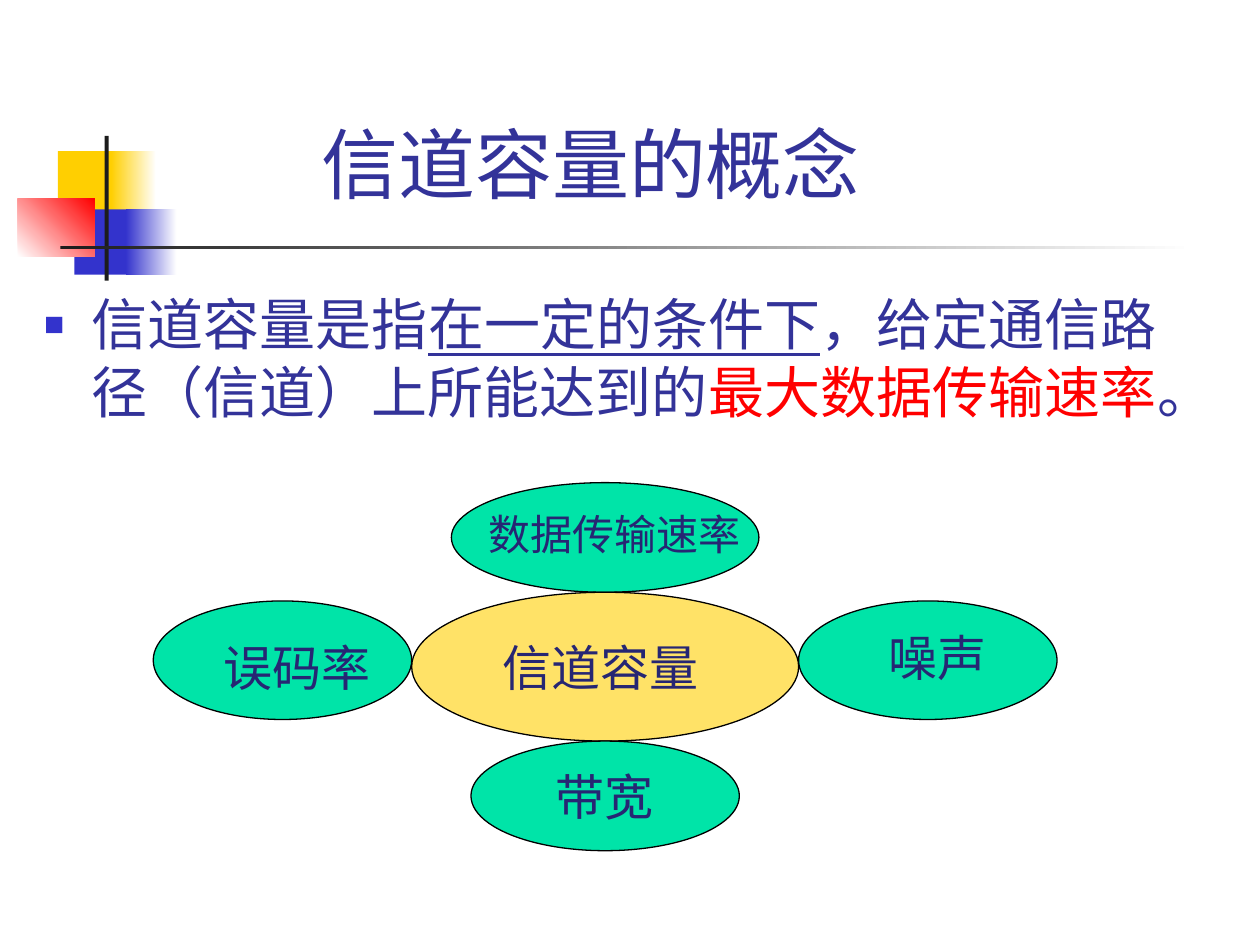
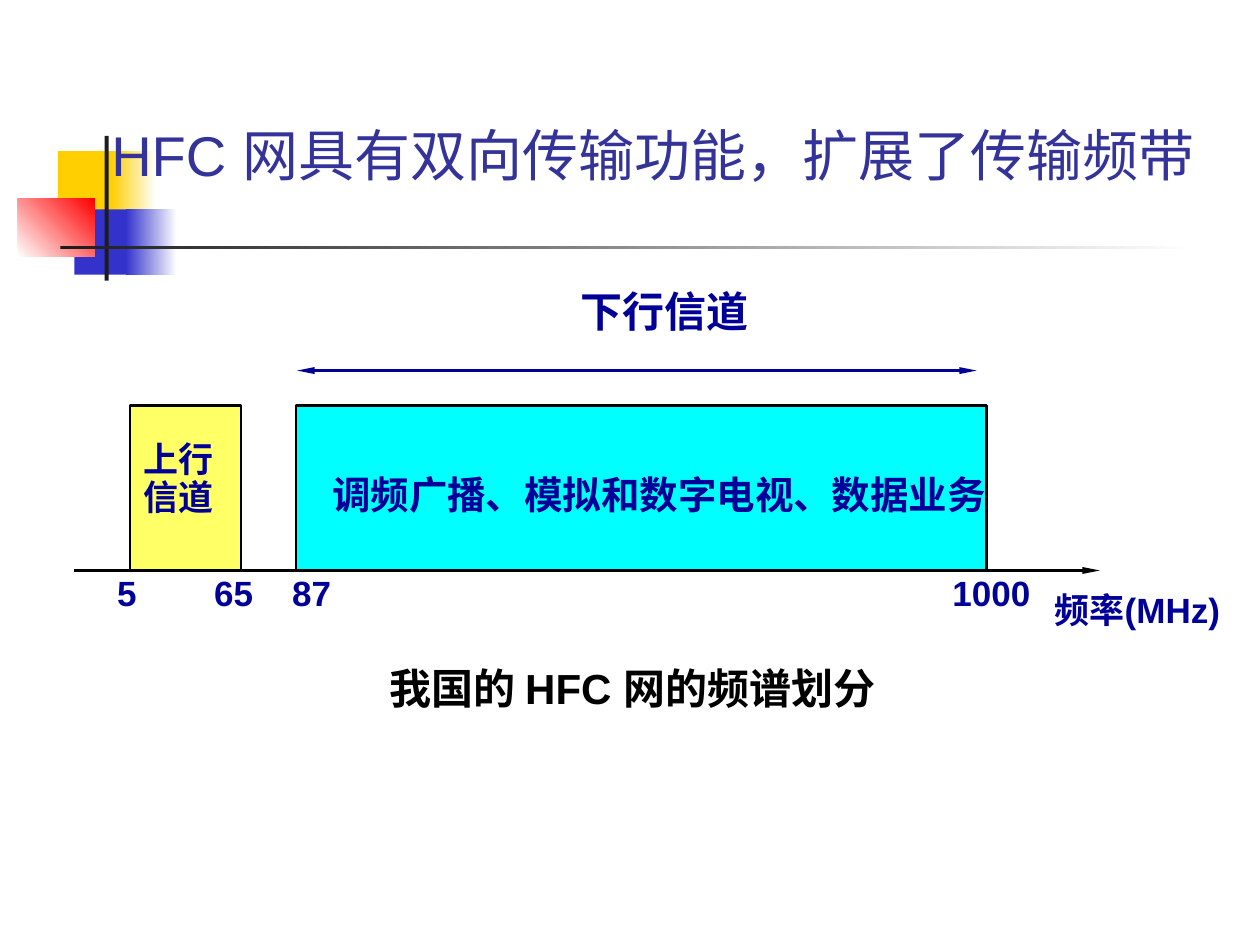
import pptx
import pptx.dml.color
import pptx.enum.shapes
import pptx.enum.text
import pptx.oxml
import pptx.oxml.ns
import pptx.util

Cm = pptx.util.Cm
Pt = pptx.util.Pt
SHAPE = pptx.enum.shapes.MSO_SHAPE
ANCHOR = pptx.enum.text.MSO_ANCHOR
ALIGN = pptx.enum.text.PP_ALIGN

COLOURS = {
    "white": "FFFFFF", "black": "000000", "charcoal": "1C1C1C",
    "gold": "FFCF01", "blue": "3333CC", "red": "FF0000",
    "text": "333399", "label": "262673", "navy": "000099",
    "green": "00E4A8", "amber": "FFE267", "yellow": "FFFF66", "cyan": "00FFFF",
}

# Corner ornament: left, top, width, height, colours, gradient angle
ORNAMENT = [
    (1.17, 3.05, 1.22, 1.32, ["gold"], 0),
    (2.24, 3.05, 0.91, 1.32, ["gold", "white"], 0),
    (1.5, 4.22, 1.17, 1.32, ["blue"], 0),
    (2.54, 4.22, 1.02, 1.32, ["blue", "white"], 0),
    (0.36, 4.01, 1.55, 1.17, ["white", "red"], 45),
    (2.11, 2.74, 0.08, 2.92, ["charcoal"], 0),
    (1.22, 4.95, 22.86, 0.08, ["charcoal", "white"], 0),
]


def rgb(name):
    return pptx.dml.color.RGBColor.from_string(COLOURS[name])


def add_xml(parent, markup):
    namespace = pptx.oxml.ns.nsdecls("a")
    tag, rest = markup[:markup.index(" ")], markup[markup.index(" "):]
    parent.append(pptx.oxml.parse_xml(f"<{tag} {namespace}{rest}"))


def add_figure(page, kind, place, colours, outline=None, angle=0):
    """Add a preset shape with a plain or two-colour gradient fill."""
    figure = page.shapes.add_shape(kind, *[Cm(value) for value in place])
    figure.shadow.inherit = False
    if len(colours) == 1:
        figure.fill.solid()
        figure.fill.fore_color.rgb = rgb(colours[0])
    else:
        figure.fill.gradient()
        figure.fill.gradient_angle = angle
        for stop, colour in zip(figure.fill.gradient_stops, colours):
            stop.color.rgb = rgb(colour)
    if outline:
        figure.line.color.rgb = rgb("black")
        figure.line.width = Pt(outline)
    else:
        figure.line.fill.background()
    return figure


def add_text(page, place, lines, size, colour, font="Arial", bold=False,
             align=ALIGN.LEFT, anchor=ANCHOR.TOP, wrap=True, spacing=None):
    """Add a text box; each line is a list of (text, changes) runs."""
    box = page.shapes.add_textbox(*[Cm(value) for value in place])
    frame = box.text_frame
    frame.word_wrap = wrap
    frame.vertical_anchor = anchor
    for number, line in enumerate(lines):
        para = frame.add_paragraph() if number else frame.paragraphs[0]
        para.alignment = align
        para.line_spacing = spacing
        for text, changes in line:
            span = para.add_run()
            span.text = text
            span.font.name = font
            span.font.size = Pt(size)
            span.font.bold = bold
            span.font.underline = changes.get("underline")
            span.font.color.rgb = rgb(changes.get("colour", colour))
    return box


def add_label(page, place, text, size, colour="navy", **style):
    return add_text(page, place, [[(text, {})]], size, colour, **style)


def add_arrow(page, left, right, height, colour, ends):
    """Add a horizontal line with slim arrowheads at the named ends."""
    arrow = page.shapes.add_connector(
        pptx.enum.shapes.MSO_CONNECTOR.STRAIGHT,
        Cm(left), Cm(height), Cm(right), Cm(height))
    arrow.line.color.rgb = rgb(colour)
    arrow.line.width = Pt(1.5)
    for end in ends:
        add_xml(arrow.line._get_or_add_ln(), f'a:{end} type="triangle" w="sm" len="lg"/>'.replace("a:a:", "a:"))
    add_xml(arrow._element.spPr, "a:effectLst />")


def add_page(deck, title, place, size, lift=0.13):
    """Add a page with the ornament and a bottom-anchored title."""
    page = deck.slides.add_slide(deck.slide_layouts[6])
    for *spot, colours, angle in ORNAMENT:
        add_figure(page, SHAPE.RECTANGLE, spot, colours, angle=angle)
    box = add_label(page, place, title, size, "text",
                    align=ALIGN.CENTER, anchor=ANCHOR.BOTTOM)
    box.text_frame.margin_bottom = Cm(lift)
    return page


def add_definition(page):
    box = add_text(page, (0.64, 5.72, 23.6, 3.2), [[
        ("信道容量是指", {}),
        ("在一定的条件下", {"underline": True}),
        ("，给定通信路径（信道）上所能达到的", {}),
        ("最大数据传输速率", {"colour": "red"}),
        ("。", {}),
    ]], 32, "text")
    properties = box.text_frame.paragraphs[0]._p.get_or_add_pPr()
    properties.set("marL", str(Cm(0.96)))
    properties.set("indent", str(Cm(-0.96)))
    add_xml(properties, f'a:buClr ><a:srgbClr val="{COLOURS["blue"]}"/></a:buClr>')
    add_xml(properties, 'a:buSzPct val="60000"/>')
    add_xml(properties, 'a:buFont typeface="Arial"/>')
    add_xml(properties, 'a:buChar char="■"/>')


def add_factors(page):
    """Draw the capacity ellipse with four factors touching its sides."""
    middle_x, middle_y, core_width, core_height = 12.2, 13.44, 7.8, 3.0
    # Side, ellipse size, vertical shift, colour, label, label place, text size
    factors = [
        (0, -1, 6.2, 2.21, 0, "green", "数据传输速率", (9.5, 10.13, 5.79, 1.27), 24),
        (0, 0, core_width, core_height, 0, "amber", "信道容量", (9.7, 12.73, 4.8, 1.45), 28),
        (1, 0, 5.21, 2.39, -0.13, "green", "噪声", (17.5, 12.52, 2.79, 1.45), 28),
        (-1, 0, 5.21, 2.39, -0.13, "green", "误码率", (4.09, 12.73, 3.81, 1.45), 28),
        (0, 1, 5.41, 2.21, 0, "green", "带宽", (10.9, 15.32, 2.59, 1.45), 28),
    ]
    for side_x, side_y, width, height, shift, colour, text, place, size in factors:
        left = middle_x + side_x * (core_width + width) / 2 - width / 2
        top = middle_y + side_y * (core_height + height) / 2 - height / 2 + shift
        add_figure(page, SHAPE.OVAL, (left, top, width, height), [colour], 0.75)
        add_label(page, place, text, size, "label",
                  font="Times New Roman", align=ALIGN.CENTER)


def add_spectrum(page):
    band_top, band_height = 8.18, 3.32

    # Downstream span
    add_arrow(page, 5.99, 19.69, 7.47, "navy", ["headEnd", "tailEnd"])
    add_label(page, (11.46, 5.64, 3.89, 1.27), "下行信道", 24, bold=True, wrap=False)

    # Bands
    for left, width, colour in [(2.62, 2.24, "yellow"), (5.97, 13.92, "cyan")]:
        add_figure(page, SHAPE.RECTANGLE, (left, band_top, width, band_height),
                   [colour], 1.5)
    add_text(page, (2.64, 8.79, 2.13, 1.78), [[("上行", {})], [("信道", {})]],
             20, "navy", bold=True, spacing=0.9)
    add_label(page, (6.45, 9.37, 13.67, 1.19), "调频广播、模拟和数字电视、数据业务",
              22, bold=True, wrap=False)

    # Frequency axis
    add_arrow(page, 1.5, 22.17, band_top + band_height, "black", ["tailEnd"])
    ticks = add_label(page, (2.11, 11.4, 19.3, 1.12), "5\t65\t87\t1000", 20, bold=True)
    stops = "".join(f'<a:tab pos="{Cm(stop)}" algn="l"/>' for stop in (1.96, 3.53, 16.84))
    add_xml(ticks.text_frame.paragraphs[0]._p.get_or_add_pPr(),
            f"a:tabLst >{stops}</a:tabLst>")
    add_label(page, (21.01, 11.73, 4.01, 1.12), "频率(MHz)", 20, bold=True, wrap=False)

    # Caption
    add_label(page, (5.97, 13.23, 13.56, 1.27), "我国的 HFC 网的频谱划分", 24,
              "black", bold=True, align=ALIGN.CENTER)


def main():
    deck = pptx.Presentation()
    deck.slide_width, deck.slide_height = Cm(25.4), Cm(19.05)

    page = add_page(deck, "信道容量的概念", (0.48, 1.52, 22.86, 4.6), 44, lift=1.9)
    add_definition(page)
    add_factors(page)

    page = add_page(deck, "HFC 网具有双向传输功能，扩展了传输频带",
                    (1.5, 0.58, 23.34, 3.33), 32)
    add_spectrum(page)

    deck.save("out.pptx")


if __name__ == "__main__":
    main()
